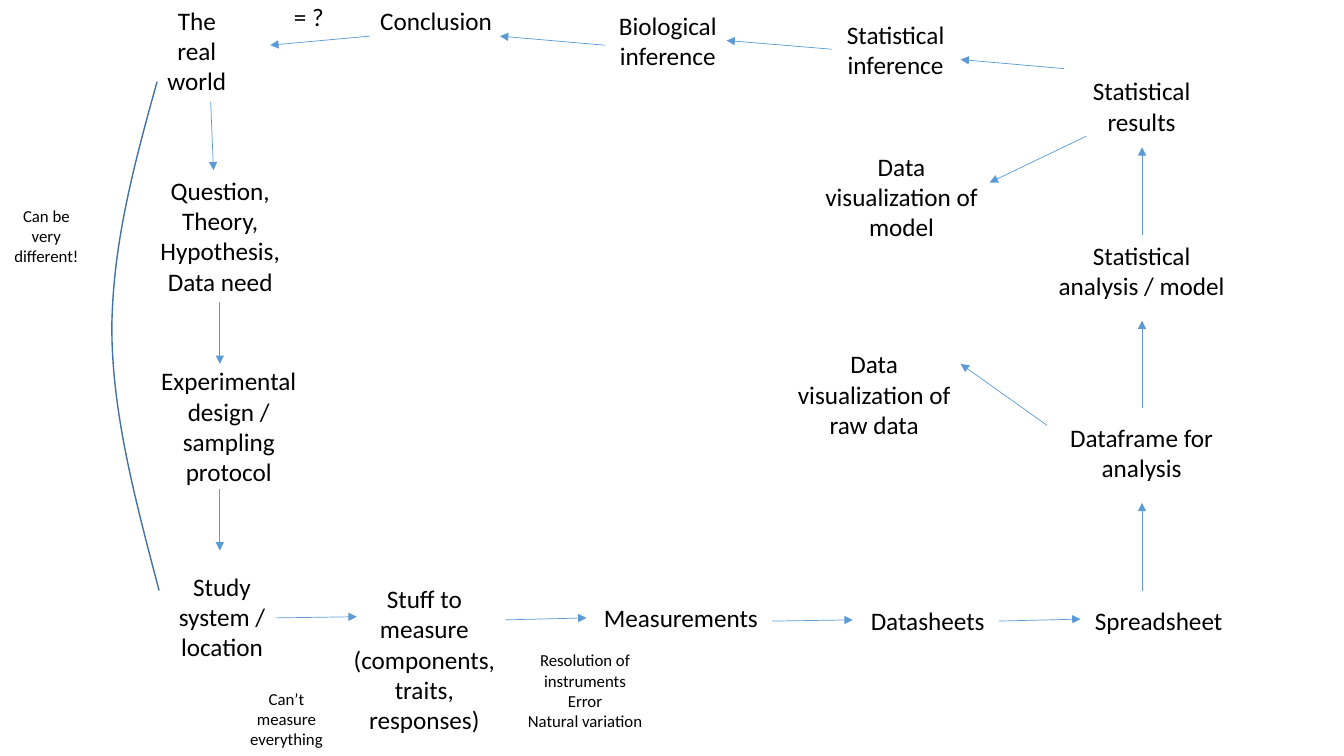
from dataclasses import dataclass

from lxml import etree
from pptx import Presentation
from pptx.dml.color import RGBColor
from pptx.enum.shapes import MSO_CONNECTOR
from pptx.enum.text import MSO_AUTO_SIZE, PP_ALIGN
from pptx.oxml.ns import qn
from pptx.util import Cm, Pt

CENTER, LEFT = PP_ALIGN.CENTER, PP_ALIGN.LEFT
FIT_SHAPE = MSO_AUTO_SIZE.SHAPE_TO_FIT_TEXT
STRAIGHT = MSO_CONNECTOR.STRAIGHT


@dataclass(frozen=True)
class Theme:
    font: str = "Calibri"
    text: RGBColor = RGBColor(0, 0, 0)
    arrow: RGBColor = RGBColor(0x5B, 0x9B, 0xD5)
    curve: RGBColor = RGBColor(0x43, 0x73, 0x9E)
    step_size: int = 18
    note_size: int = 12
    arrow_width: float = 0.5
    curve_width: float = 1


THEME = Theme()
SLIDE_SIZE = (33.87, 19.05)
WIDE = 4.8
RIGHT_COLUMN = 26.37
RIGHT_AXIS = 28.78
LEFT_AXIS = 5.54
PADDING = 0.25
LINE_PER_POINT = 0.043
CURVE_STEPS = 24

STEPS = [
    ("The real world", 3.73, 0, 2.46, 3),
    ("Question,\nTheory,\nHypothesis,\nData need", 3.58, 4.29, 3.94, 4),
    ("Experimental design / sampling protocol", 3.58, 9.09, 4.37, 4),
    ("Study system / location", 3.73, 14.27, 3.73, 3),
    ("Stuff to measure (components, traits, responses)", 8.56, 14.58, 4.27, 5),
    ("Measurements", 14.76, 15.06, WIDE, 1),
    ("Datasheets", 20.98, 15.14, WIDE, 1),
    ("Spreadsheet", 26.8, 15.14, WIDE, 1),
    ("Dataframe for analysis", RIGHT_COLUMN, 10.52, WIDE, 2),
    ("Data visualization of raw data", 19.63, 8.66, WIDE, 3),
    ("Statistical analysis / model", RIGHT_COLUMN, 5.92, WIDE, 2),
    ("Statistical results", RIGHT_COLUMN, 1.78, WIDE, 2),
    ("Data visualization of model", 20.32, 3.68, WIDE, 3),
    ("Statistical inference", 20.17, 0.36, WIDE, 2),
    ("Biological inference", 14.43, 0.13, WIDE, 2),
    ("Conclusion", 8.59, 0, WIDE, 1),
]
COMPARISON = ("= ?", 7.16, -0.1, 3.25, 1)
NOTES = [
    ("Can be very different!", 0, 5.05, 2.34, 3),
    ("Can’t measure everything", 5.99, 17.22, 2.46, 3),
    ("Resolution of instruments\nError\nNatural variation", 12.93, 16.26, 3.63, 4),
]
ARROWS = [
    (5.31, 2.57, 5.38, 4.29),
    (LEFT_AXIS, 7.62, LEFT_AXIS, 9.17),
    (LEFT_AXIS, 12.32, LEFT_AXIS, 13.87),
    (6.96, 15.57, 8.99, 15.54),
    (12.73, 15.62, 14.78, 15.57),
    (19.46, 15.65, 21.49, 15.62),
    (25.17, 15.65, 27.23, 15.6),
    (RIGHT_AXIS, 14.88, RIGHT_AXIS, 12.67),
    (RIGHT_AXIS, 10.29, RIGHT_AXIS, 8.08),
    (RIGHT_AXIS, 5.92, RIGHT_AXIS, 3.71),
    (26.39, 10.72, 24.21, 9.17),
    (27.38, 3.43, 24.94, 4.6),
    (26.82, 1.73, 24.21, 1.5),
    (20.96, 1.24, 18.31, 1.02),
    (15.24, 1.14, 12.6, 0.91),
    (9.32, 0.91, 6.81, 1.14),
]
DIFFERENCE_CURVE = [
    [(3.96, 2.06), (3.38, 4.14), (2.82, 6.22), (2.82, 8.36)],
    [(2.82, 8.36), (2.84, 10.49), (3.43, 12.67), (4.01, 14.88)],
]


def apply_format(target, values):
    for name, value in values.items():
        setattr(target, name, value)


def add_label(slide, label, size, alignment=CENTER):
    text, left, top, width, lines = label
    height = PADDING + lines * size * LINE_PER_POINT
    box = slide.shapes.add_textbox(Cm(left), Cm(top), Cm(width), Cm(height))
    frame = box.text_frame
    frame.text = text
    apply_format(frame, {"word_wrap": True, "auto_size": FIT_SHAPE})
    for paragraph in frame.paragraphs:
        paragraph.alignment = alignment
        apply_format(paragraph.runs[0].font, {"name": THEME.font, "size": Pt(size)})
        paragraph.runs[0].font.color.rgb = THEME.text


def add_arrow(slide, ends):
    arrow = slide.shapes.add_connector(STRAIGHT, *map(Cm, ends))
    arrow.line.color.rgb = THEME.arrow
    arrow.line.width = Pt(THEME.arrow_width)
    etree.SubElement(arrow.line._get_or_add_ln(), qn("a:tailEnd"), type="triangle")
    etree.SubElement(arrow._element.spPr, qn("a:effectLst"))


def curve_point(controls, position):
    rest = 1 - position
    weights = (rest**3, 3 * rest**2 * position, 3 * rest * position**2, position**3)
    return tuple(
        Cm(sum(weight * value for weight, value in zip(weights, axis)))
        for axis in zip(*controls)
    )


def add_curve(slide, segments):
    points = [
        curve_point(controls, step / CURVE_STEPS)
        for controls in segments
        for step in range(1, CURVE_STEPS + 1)
    ]
    builder = slide.shapes.build_freeform(*map(Cm, segments[0][0]))
    builder.add_line_segments(points, close=False)
    curve = builder.convert_to_shape()
    curve.shadow.inherit = False
    curve.fill.background()
    curve.line.color.rgb = THEME.curve
    curve.line.width = Pt(THEME.curve_width)


presentation = Presentation()
slide_width, slide_height = map(Cm, SLIDE_SIZE)
apply_format(presentation, {"slide_width": slide_width, "slide_height": slide_height})
slide = presentation.slides.add_slide(presentation.slide_layouts[6])

add_curve(slide, DIFFERENCE_CURVE)
for ends in ARROWS:
    add_arrow(slide, ends)
for step in STEPS:
    add_label(slide, step, THEME.step_size)
for note in NOTES:
    add_label(slide, note, THEME.note_size)
add_label(slide, COMPARISON, THEME.step_size, LEFT)

presentation.save("out.pptx")
